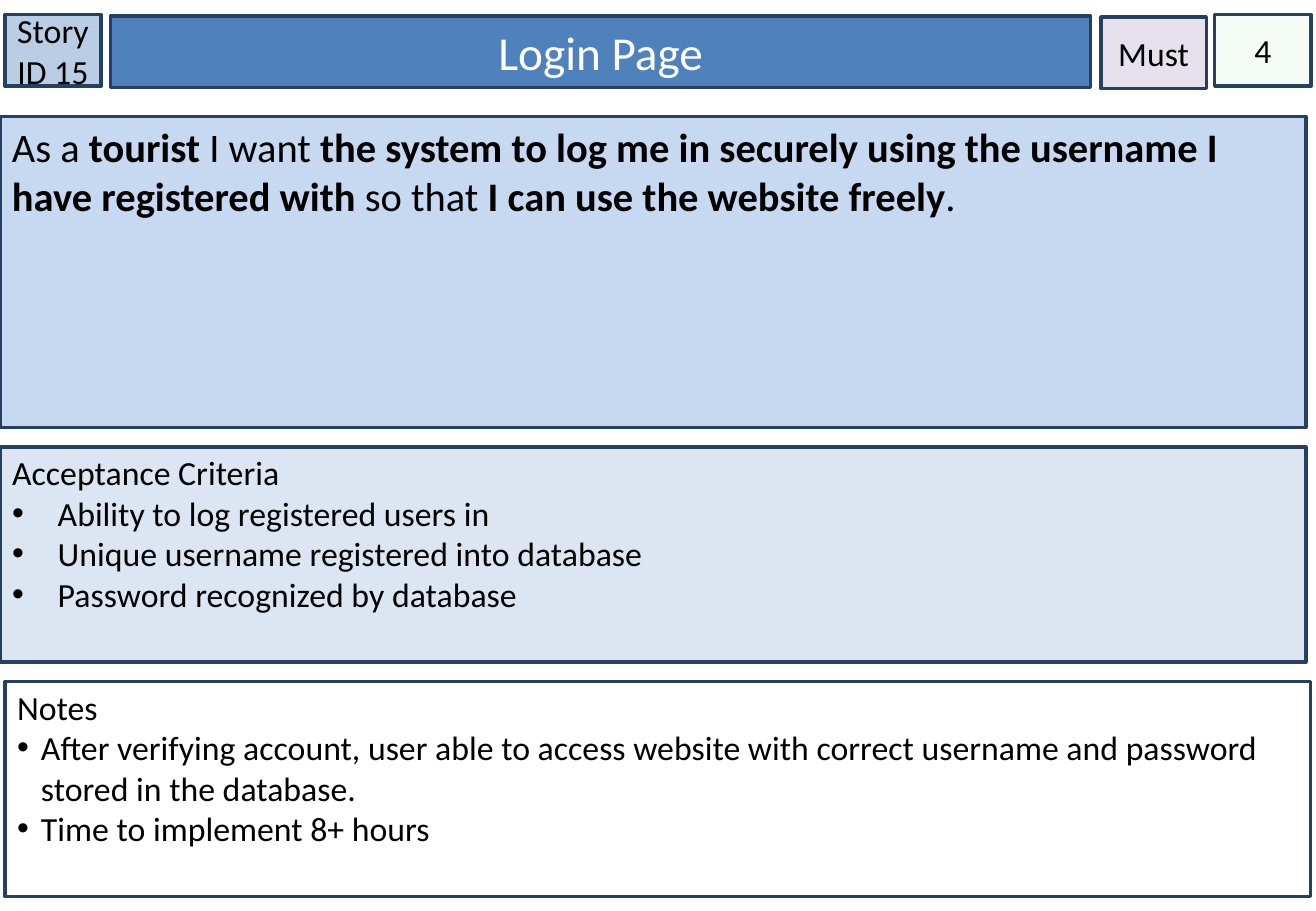
from lxml import etree
from pptx import Presentation
from pptx.dml.color import RGBColor
from pptx.enum import shapes, text
from pptx.oxml import ns
from pptx.util import Pt

BLACK = RGBColor(0x00, 0x00, 0x00)
WHITE = RGBColor(0xFF, 0xFF, 0xFF)
NAVY = RGBColor(0x25, 0x40, 0x61)
TITLE_BLUE = RGBColor(0x4F, 0x81, 0xBD)
ID_BLUE = RGBColor(0xB9, 0xCD, 0xE5)
STORY_BLUE = RGBColor(0xC6, 0xD9, 0xF1)
CRITERIA_BLUE = RGBColor(0xDC, 0xE6, 0xF2)
ESTIMATE_GREEN = RGBColor(0xCC, 0xF0, 0xCD)
PRIORITY_LILAC = RGBColor(0xE6, 0xE0, 0xEC)


def style_card(card, place, fill, anchor, side_inset=7.2, top_inset=3.6):
    """Place a card, give it the navy outline and return its text frame."""
    card.left, card.top, card.width, card.height = [Pt(v) for v in place]
    card.fill.solid()
    card.fill.fore_color.rgb = fill
    card.line.color.rgb = NAVY
    card.line.width = Pt(2)
    frame = card.text_frame
    frame.word_wrap = True
    frame.auto_size = text.MSO_AUTO_SIZE.NONE
    frame.vertical_anchor = anchor
    frame.margin_left = frame.margin_right = Pt(side_inset)
    frame.margin_top, frame.margin_bottom = Pt(top_inset), Pt(3.6)
    return frame


def add_run(paragraph, words, size, color=BLACK, bold=False):
    run = paragraph.add_run()
    run.text = words
    run.font.name = "Calibri"
    run.font.size = Pt(size)
    run.font.bold = bold
    run.font.color.rgb = color


deck = Presentation()
deck.slide_width, deck.slide_height = Pt(780), Pt(540)
slide = deck.slides.add_slide(deck.slide_layouts.get_by_name("Two Content"))
title, criteria, notes = [slide.placeholders[idx] for idx in (0, 1, 2)]

# Header row: title, then the three small cards
heading = style_card(title, (65.5, 9.4, 581, 42.5), TITLE_BLUE,
                     text.MSO_ANCHOR.MIDDLE).paragraphs[0]
heading.alignment = text.PP_ALIGN.CENTER
add_run(heading, "Login Page", 28, WHITE)

header_cards = [
    ("Story ID 15", (2.9, 8.6, 57, 42.5), ID_BLUE),
    ("Must", (652.5, 10, 62.5, 42.5), PRIORITY_LILAC),
    ("4", (720, 8.6, 57, 42.5), ESTIMATE_GREEN),
]
for label, place, fill in header_cards:
    card = slide.shapes.add_shape(shapes.MSO_SHAPE.RECTANGLE, 0, 0, 0, 0)
    card.shadow.inherit = False
    line = style_card(card, place, fill, text.MSO_ANCHOR.MIDDLE, 0).paragraphs[0]
    line.alignment = text.PP_ALIGN.CENTER
    add_run(line, label, 20)
    if fill == ESTIMATE_GREEN:
        tint = card.fill._xPr.find(".//" + ns.qn("a:srgbClr"))
        etree.SubElement(tint, ns.qn("a:alpha"), val="20000")

# User story
story = slide.shapes.add_shape(shapes.MSO_SHAPE.RECTANGLE, 0, 0, 0, 0)
story.shadow.inherit = False
sentence = style_card(story, (0, 69, 774, 184.5), STORY_BLUE,
                      text.MSO_ANCHOR.TOP).paragraphs[0]
sentence.alignment = text.PP_ALIGN.LEFT
story_parts = [
    ("As a ", False),
    ("tourist ", True),
    ("I want ", False),
    ("the system to log me in securely using the username I have registered with ", True),
    ("so that ", False),
    ("I can use the website freely", True),
    (".", False),
]
for words, bold in story_parts:
    add_run(sentence, words, 24, bold=bold)

# Acceptance criteria and notes: a heading line, then bullets
list_cards = [
    (criteria, (0, 265, 774, 127.5), CRITERIA_BLUE, 27, "Acceptance Criteria", [
        "Ability to log registered users in",
        "Unique username registered into database",
        "Password recognized by database",
    ]),
    (notes, (2.9, 404, 774, 127.5), WHITE, 14.2, "Notes", [
        "After verifying account, user able to access website with correct "
        "username and password stored in the database.",
        "Time to implement 8+ hours",
    ]),
]
for card, place, fill, indent, name, items in list_cards:
    frame = style_card(card, place, fill, text.MSO_ANCHOR.TOP, top_inset=2.9)
    for row, words in enumerate([name] + items):
        line = frame.add_paragraph() if row else frame.paragraphs[0]
        hanging = Pt(indent) if row else 0
        props = line._p.get_or_add_pPr()
        props.set("marL", str(hanging))
        props.set("indent", str(-hanging))
        if row:
            etree.SubElement(props, ns.qn("a:buFont"), typeface="Arial")
            etree.SubElement(props, ns.qn("a:buChar"), char="•")
        else:
            etree.SubElement(props, ns.qn("a:buNone"))
        line.space_before = Pt(0)
        add_run(line, words, 20)

deck.save("out.pptx")
